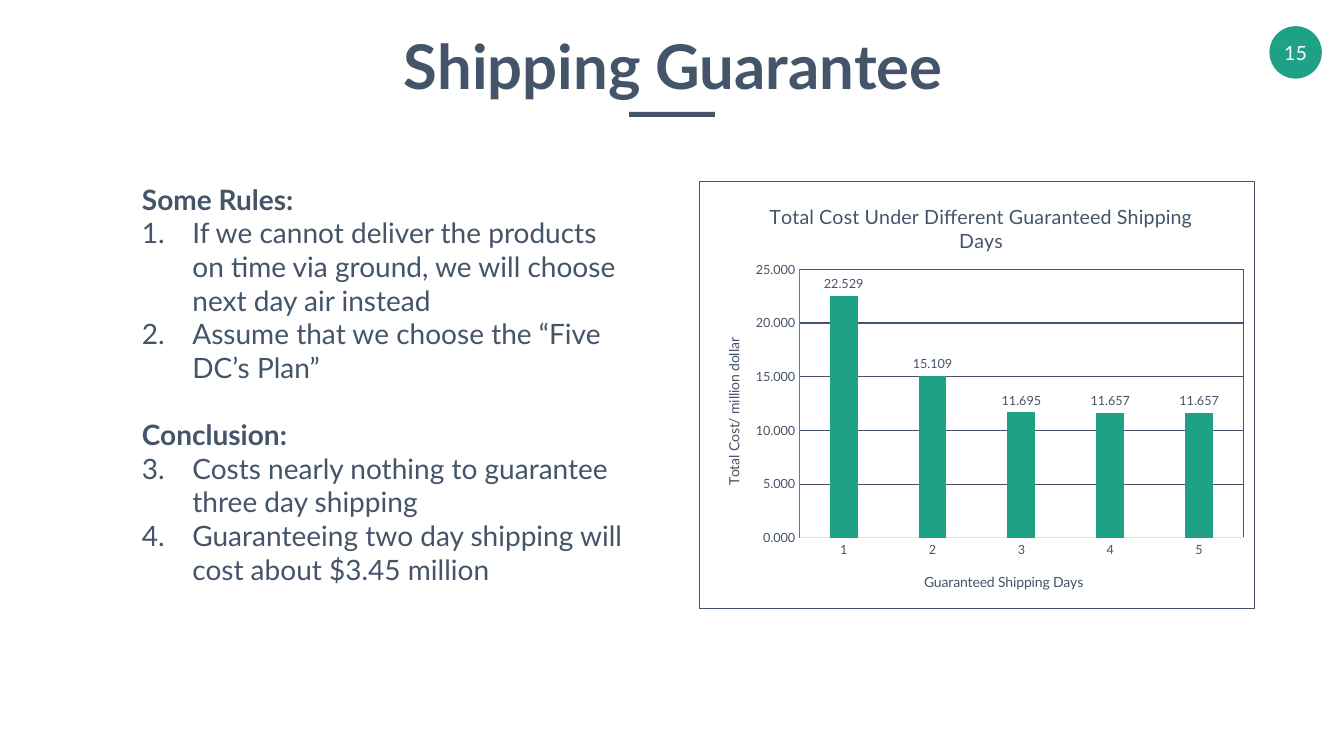
from pptx import Presentation
from pptx.chart.data import CategoryChartData
from pptx.dml.color import RGBColor
from pptx.enum import chart as ch, shapes, text
from pptx.oxml import parse_xml
from pptx.oxml.ns import nsdecls
from pptx.util import Inches, Pt

# Content
TITLE = "Shipping Guarantee"
PAGE = "15"
PARTS = [
    ("Some Rules:", [
        "If we cannot deliver the products on time via ground, "
        "we will choose next day air instead",
        "Assume that we choose the “Five DC’s Plan”"]),
    ("Conclusion:", [
        "Costs nearly nothing to guarantee three day shipping",
        "Guaranteeing two day shipping will cost about $3.45 million"]),
]
COSTS = {"1": 22.529, "2": 15.109, "3": 11.695, "4": 11.657, "5": 11.657}
HEAD = "Total Cost Under Different Guaranteed Shipping Days"
DAYS = "Guaranteed Shipping Days"
COST = "Total Cost/ million dollar"

THEME = {
    "font": "Lato", "ink": RGBColor(0x44, 0x54, 0x69),
    "green": RGBColor(0x1E, 0xA1, 0x85), "pale": RGBColor(0xE0, 0xE5, 0xEB),
    "white": RGBColor(255, 255, 255),
    "title": 44, "body": 20, "head": 14, "axis": 10, "tick": 9,
}

deck = Presentation()
deck.slide_width, deck.slide_height = Inches(13.33), Inches(7.5)
slide = deck.slides.add_slide(deck.slide_layouts[6])


def style(font, size, color="ink", bold=False):
    font.name, font.size, font.bold = THEME["font"], Pt(THEME[size]), bold
    font.color.rgb = THEME[color]


def put(para, words, *look):
    run = para.add_run()
    run.text = words
    style(run.font, *look)


def shape(kind, box, color):
    item = slide.shapes.add_shape(kind, *map(Inches, box))
    item.shadow.inherit = False
    item.fill.solid()
    item.fill.fore_color.rgb = THEME[color]
    item.line.fill.background()
    return item


def frame(box):
    body = slide.shapes.add_textbox(*map(Inches, box)).text_frame
    body.word_wrap = True
    return body


def rule(line, color):
    line.color.rgb, line.width = THEME[color], Pt(0.75)


# Page number
badge = shape(shapes.MSO_SHAPE.OVAL, (12.59, 0.26, 0.52, 0.52), "green")
body = badge.text_frame
body.margin_left = body.margin_right = body.margin_top = body.margin_bottom = 0
body.vertical_anchor = text.MSO_ANCHOR.MIDDLE
body.paragraphs[0].alignment = text.PP_ALIGN.CENTER
put(body.paragraphs[0], PAGE, "head", "white")

# Title and its rule
body = frame((3.66, 0.26, 6.04, 0.8))
body.margin_left = body.margin_right = Inches(0.05)
body.margin_top = body.margin_bottom = Inches(0.02)
body.paragraphs[0].alignment = text.PP_ALIGN.CENTER
put(body.paragraphs[0], TITLE, "title", "ink", True)
shape(shapes.MSO_SHAPE.RECTANGLE, (6.24, 1.11, 0.85, 0.05), "ink")

# Rules and conclusion, numbered straight through
body = frame((1.31, 1.76, 5.06, 4.15))
num = 1
for i, (name, items) in enumerate(PARTS):
    para = body.add_paragraph() if i else body.paragraphs[0]
    if i:
        para.space_before = Pt(24)
    put(para, name, "body", "ink", True)
    start = num
    for item in items:
        para = body.add_paragraph()
        props = para._p.get_or_add_pPr()
        props.set("marL", str(Inches(0.5)))
        props.set("indent", str(-Inches(0.5)))
        props.append(parse_xml(
            f'<a:buAutoNum {nsdecls("a")} type="arabicPeriod" startAt="{start}"/>'))
        put(para, item, "body")
        num += 1

# Cost chart
data = CategoryChartData(number_format="0.000")
data.categories = list(COSTS)
data.add_series("Series 1", list(COSTS.values()))
chart = slide.shapes.add_chart(
    ch.XL_CHART_TYPE.COLUMN_CLUSTERED,
    *map(Inches, (6.93, 1.8, 5.52, 4.24)), data).chart
style(chart.font, "axis")
chart.has_legend = False
plot = chart.plots[0]
plot.gap_width, plot.overlap, plot.vary_by_categories = 219, -27, False
bars = plot.series[0]
bars.format.fill.solid()
bars.format.fill.fore_color.rgb = THEME["green"]
tags = bars.data_labels
tags.show_value = True
tags.number_format, tags.number_format_is_linked = "0.000", False
tags.position = ch.XL_LABEL_POSITION.OUTSIDE_END
style(tags.font, "tick")

# Axes
cat, val = chart.category_axis, chart.value_axis
for axis, color in ((cat, "pale"), (val, "green")):
    axis.major_tick_mark = axis.minor_tick_mark = ch.XL_TICK_MARK.NONE
    style(axis.tick_labels.font, "tick")
    rule(axis.format.line, color)
val.minimum_scale, val.maximum_scale, val.major_unit = 0, 25, 5
val.tick_labels.number_format = "0.000"
val.tick_labels.number_format_is_linked = False
val.has_major_gridlines = True
rule(val.major_gridlines.format.line, "ink")


# Chart titles and plot area, placed as shares of the chart
def layout(x, y, size=""):
    inner = '<c:layoutTarget val="inner"/>' if size else ""
    return parse_xml(
        f'<c:layout {nsdecls("c")}><c:manualLayout>{inner}'
        f'<c:xMode val="edge"/><c:yMode val="edge"/>'
        f'<c:x val="{x}"/><c:y val="{y}"/>{size}</c:manualLayout></c:layout>')


for owner, words, size, x, y in ((chart, HEAD, "head", 0.12, 0.04),
                                 (cat, DAYS, "axis", 0.4, 0.91),
                                 (val, COST, "axis", 0.04, 0.36)):
    title = owner.chart_title if owner is chart else owner.axis_title
    put(title.text_frame.paragraphs[0], words, size)
    for old in title._element.findall(layout(0, 0).tag):
        title._element.remove(old)
    title._element.tx.addnext(layout(x, y))

area = chart._chartSpace.chart.plotArea
for old in area.findall(layout(0, 0).tag):
    area.remove(old)
area.insert(0, layout(0.18, 0.205, '<c:w val="0.8"/><c:h val="0.63"/>'))


# Borders of the plot and of the whole chart
def border():
    return parse_xml(
        f'<c:spPr {nsdecls("c", "a")}><a:noFill/><a:ln w="{Pt(0.75)}"><a:solidFill>'
        f'<a:srgbClr val="{THEME["ink"]}"/></a:solidFill></a:ln></c:spPr>')


area.append(border())
chart._chartSpace.chart.addnext(border())

deck.save("out.pptx")
